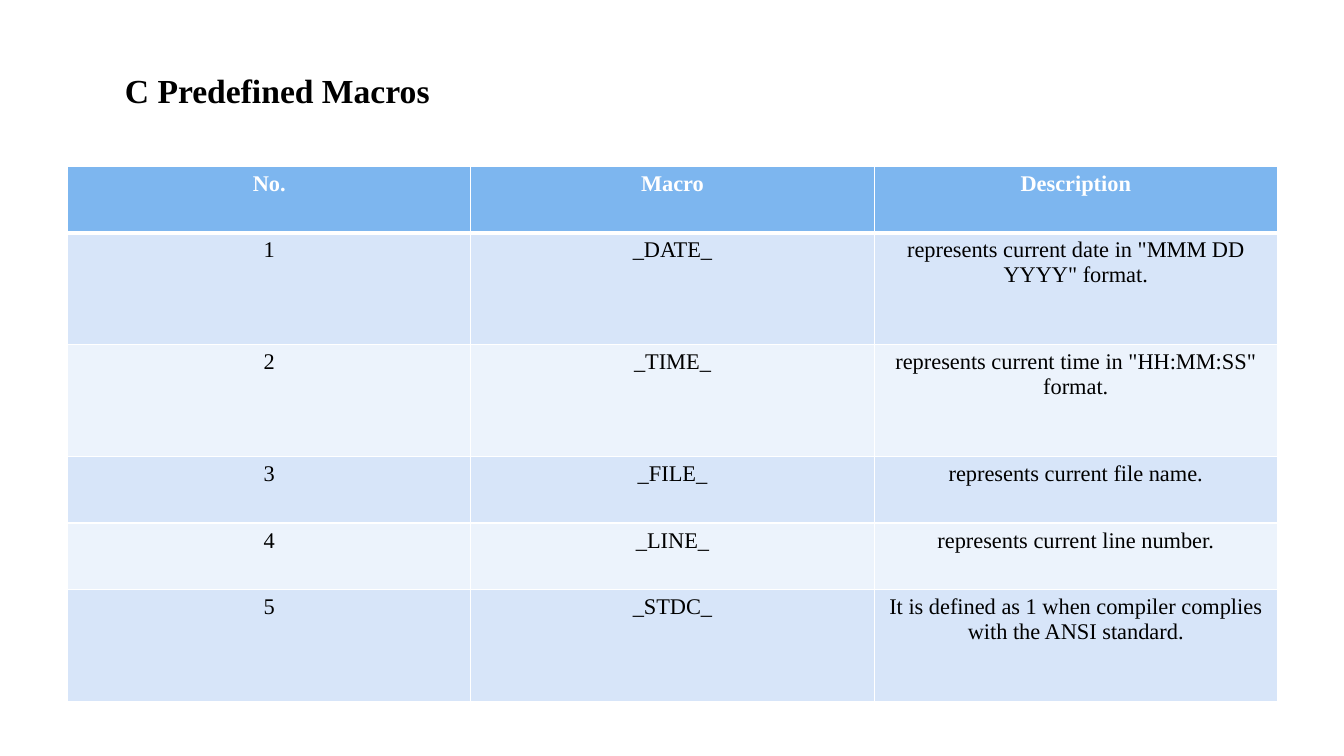
"""Build the slide that lists the predefined macros of C."""
import pptx
import pptx.dml.color
import pptx.enum.text
import pptx.oxml
import pptx.oxml.ns
import pptx.util

WHITE = pptx.dml.color.RGBColor(0xFF, 0xFF, 0xFF)
BLACK = pptx.dml.color.RGBColor(0x00, 0x00, 0x00)
HEADER_BLUE = pptx.dml.color.RGBColor(0x7D, 0xB6, 0xEF)
BAND_BLUES = [
    pptx.dml.color.RGBColor(0xEC, 0xF3, 0xFC),
    pptx.dml.color.RGBColor(0xD7, 0xE5, 0xF9),
]
FONT = "Times New Roman"
CENTER = pptx.enum.text.PP_ALIGN.CENTER
Inches = pptx.util.Inches

SHORT_ROW, TALL_ROW = 0.66, 1.11
COLUMN_WIDTH = 4
ROWS = [
    (SHORT_ROW, "No.", "Macro", "Description"),
    (TALL_ROW, "1", "_DATE_", 'represents current date in "MMM DD YYYY" format.'),
    (TALL_ROW, "2", "_TIME_", 'represents current time in "HH:MM:SS" format.'),
    (SHORT_ROW, "3", "_FILE_", "represents current file name."),
    (SHORT_ROW, "4", "_LINE_", "represents current line number."),
    (TALL_ROW, "5", "_STDC_", "It is defined as 1 when compiler complies with the ANSI standard."),
]


def write(text_frame, text, size, color, bold):
    """Put one centred paragraph into a text frame."""
    text_frame.text = text
    paragraph = text_frame.paragraphs[0]
    paragraph.alignment = CENTER
    paragraph.font.name = FONT
    paragraph.font.size = pptx.util.Pt(size)
    paragraph.font.bold = bold
    paragraph.font.color.rgb = color


def add_border(cell, side, points):
    """Draw one white side of a table cell."""
    cell._tc.get_or_add_tcPr().append(pptx.oxml.parse_xml(
        f'<a:ln{side} {pptx.oxml.ns.nsdecls("a")} w="{pptx.util.Pt(points)}">'
        f'<a:solidFill><a:srgbClr val="{WHITE}"/></a:solidFill></a:ln{side}>'
    ))


presentation = pptx.Presentation()
presentation.slide_width = Inches(13.33)
presentation.slide_height = Inches(7.5)
slide = presentation.slides.add_slide(presentation.slide_layouts[5])

title = slide.shapes.title
title.left, title.top = Inches(0.34), Inches(0.49)
title.width, title.height = Inches(4.82), Inches(0.8)
title.text_frame.vertical_anchor = pptx.enum.text.MSO_ANCHOR.MIDDLE
write(title.text_frame, "C Predefined Macros", 24, BLACK, True)

column_count = len(ROWS[0]) - 1
table = slide.shapes.add_table(
    len(ROWS), column_count, Inches(0.67), Inches(1.65),
    Inches(COLUMN_WIDTH * column_count), Inches(sum(row[0] for row in ROWS)),
).table
for column in table.columns:
    column.width = Inches(COLUMN_WIDTH)

for row_index, (height, *texts) in enumerate(ROWS):
    table.rows[row_index].height = Inches(height)
    is_header = row_index == 0
    for column_index, text in enumerate(texts):
        cell = table.cell(row_index, column_index)
        for side in "LRTB":
            under_header = (row_index, side) in [(0, "B"), (1, "T")]
            add_border(cell, side, 3 if under_header else 1)
        cell.fill.solid()
        cell.fill.fore_color.rgb = HEADER_BLUE if is_header else BAND_BLUES[row_index % 2]
        write(cell.text_frame, text, 16, WHITE if is_header else BLACK, is_header)

presentation.save("out.pptx")
